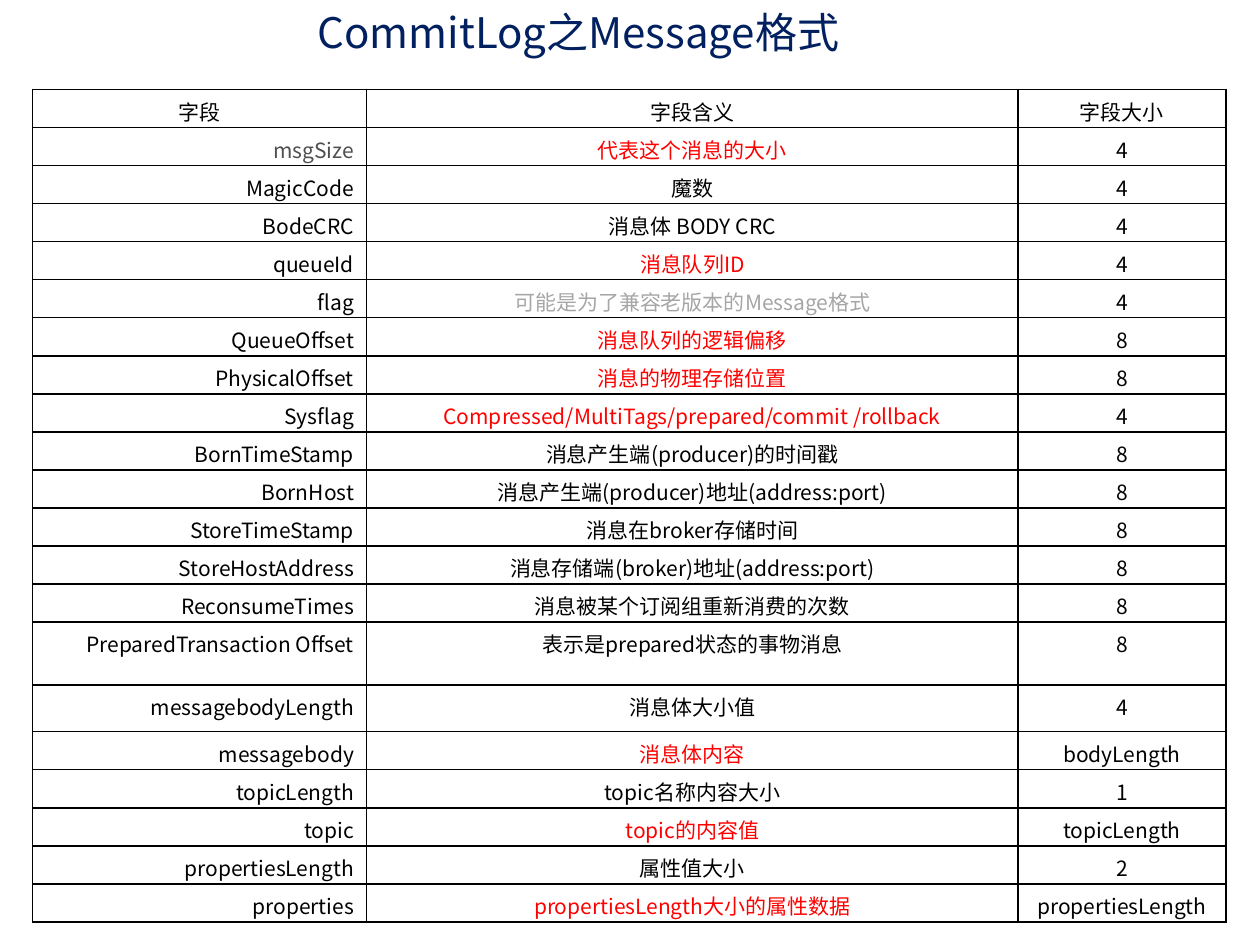
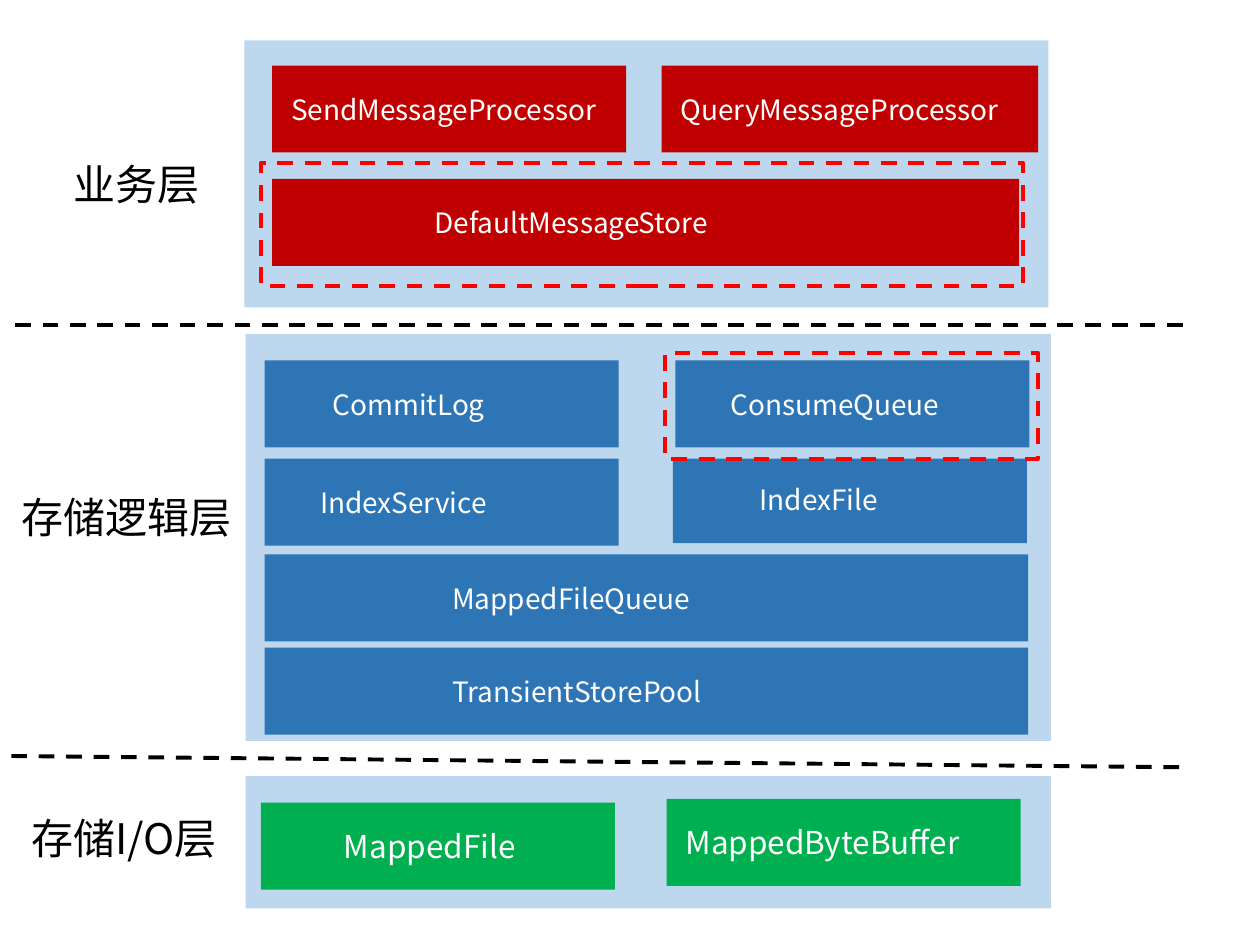
from lxml import etree
from pptx import Presentation
from pptx.dml.color import RGBColor
from pptx.enum.dml import MSO_LINE
from pptx.enum.shapes import MSO_CONNECTOR, MSO_SHAPE
from pptx.enum.text import MSO_ANCHOR, PP_ALIGN
from pptx.oxml.ns import qn
from pptx.util import Inches, Pt

RECT = MSO_SHAPE.RECTANGLE
STRAIGHT = MSO_CONNECTOR.STRAIGHT
DASH = MSO_LINE.DASH
TOP, MIDDLE = MSO_ANCHOR.TOP, MSO_ANCHOR.MIDDLE
LEFT, CENTER, RIGHT = PP_ALIGN.LEFT, PP_ALIGN.CENTER, PP_ALIGN.RIGHT

FONT = "Noto Sans CJK SC"
BLACK, WHITE, RED = "000000", "FFFFFF", "FF0000"
NAVY, DARK, GRAY = "002060", "4F4F4F", "A6A6A6"
PALE, BLUE, GREEN, CRIMSON = "BDD7EE", "2E75B6", "00B050", "C00000"

TITLE_ONLY, BLANK = 5, 6
BOX_W, WIDE_W, BOX_H = 2.81, 6.06, 0.69
ROW_H = 0.3
TALL = {14: 0.5, 15: 0.37}
COLS = (2.65, 5.17, 1.65)

FIELDS = [
    ("字段", "字段含义", "字段大小"),
    ("msgSize", "代表这个消息的大小", "4"),
    ("MagicCode", "魔数", "4"),
    ("BodeCRC", "消息体 BODY CRC", "4"),
    ("queueId", "消息队列ID", "4"),
    ("flag", "可能是为了兼容老版本的Message格式", "4"),
    ("QueueOffset", "消息队列的逻辑偏移", "8"),
    ("PhysicalOffset", "消息的物理存储位置", "8"),
    ("Sysflag", "Compressed/MultiTags/prepared/commit /rollback", "4"),
    ("BornTimeStamp", "消息产生端(producer)的时间戳", "8"),
    ("BornHost", "消息产生端(producer)地址(address:port)", "8"),
    ("StoreTimeStamp", "消息在broker存储时间", "8"),
    ("StoreHostAddress", "消息存储端(broker)地址(address:port)", "8"),
    ("ReconsumeTimes", "消息被某个订阅组重新消费的次数", "8"),
    ("PreparedTransaction Offset", "表示是prepared状态的事物消息", "8"),
    ("messagebodyLength", "消息体大小值", "4"),
    ("messagebody", "消息体内容", "bodyLength"),
    ("topicLength", "topic名称内容大小", "1"),
    ("topic", "topic的内容值", "topicLength"),
    ("propertiesLength", "属性值大小", "2"),
    ("properties", "propertiesLength大小的属性数据", "propertiesLength"),
]
TINTS = {(row, 1): RED for row in (1, 4, 6, 7, 8, 16, 18, 20)}
TINTS.update({(1, 0): DARK, (5, 1): GRAY})

PANELS = [(1.95, 6.16, 6.39, 1.05), (1.95, 2.65, 6.39, 3.23), (1.94, 0.32, 6.38, 2.12)]
FRAMES = [(5.28, 2.8, 2.96, 0.84), (2.07, 1.29, 6.05, 0.98)]
CUTS = [(0.12, 2.58, 9.45, 2.58), (0.09, 6, 9.45, 6.09)]
LABELS = [
    ("业务层", 0.53, 1.21, 1.11, False),
    ("存储逻辑层", 0.12, 3.85, 1.78, False),
    ("存储I/O层", 0.2, 6.4, 1.63, True),
]
LOWER = [
    ("MappedFile", 2.07, 6.37, BOX_W, GREEN, 18, 0.66),
    ("MappedByteBuffer", 5.29, 6.34, BOX_W, GREEN, 18, 0.15),
    ("IndexService", 2.1, 3.64, BOX_W, BLUE, 16, 0.44),
    ("IndexFile", 5.34, 3.62, BOX_W, BLUE, 16, 0.69),
    ("MappedFileQueue", 2.1, 4.4, WIDE_W, BLUE, 16, 1.49),
    ("TransientStorePool", 2.1, 5.14, WIDE_W, BLUE, 16, 1.49),
]
UPPER = [
    ("CommitLog", 2.1, 2.86, BOX_W, BLUE, 16, 0.54),
    ("ConsumeQueue", 5.36, 2.86, BOX_W, BLUE, 16, 0.44),
    ("SendMessageProcessor", 2.16, 0.52, BOX_W, CRIMSON, 16, 0.15),
    ("QueryMessageProcessor", 5.25, 0.52, 2.99, CRIMSON, 16, 0.15),
    ("DefaultMessageStore", 2.16, 1.42, 5.93, CRIMSON, 16, 1.29),
]


def rgb(code):
    """Turn a hex string into a colour."""
    return RGBColor.from_string(code)


def write(frame, text, size, color, align=LEFT):
    """Put one styled paragraph into a text frame."""
    frame.text = text
    para = frame.paragraphs[0]
    para.alignment = align
    font = para.font
    font.name, font.size, font.bold = FONT, Pt(size), False
    font.color.rgb = rgb(color)
    latin = para._p.pPr.find(qn("a:defRPr")).find(qn("a:latin"))
    east = etree.Element(qn("a:ea"), typeface=FONT)
    latin.addnext(east)


def inset(frame, side=0.05, edge=0.05):
    """Set the margins of a text frame."""
    frame.margin_left = frame.margin_right = Inches(side)
    frame.margin_top = frame.margin_bottom = Inches(edge)


def dash(line, color):
    """Give a line the thick dashed style."""
    line.color.rgb = rgb(color)
    line.width = Pt(2.25)
    line.dash_style = DASH


def border(cell):
    """Draw a thin black line on each side of a cell."""
    props = cell._tc.get_or_add_tcPr()
    for spot, side in enumerate(("lnL", "lnR", "lnT", "lnB")):
        line = etree.Element(qn(f"a:{side}"), w=str(Pt(1)))
        fill = etree.SubElement(line, qn("a:solidFill"))
        etree.SubElement(fill, qn("a:srgbClr"), val=BLACK)
        props.insert(spot, line)


def head(slide, text):
    """Place and fill the slide title."""
    title = slide.shapes.title
    title.left, title.top = Inches(2.47), Inches(0)
    title.width, title.height = Inches(5.88), Inches(0.5)
    frame = title.text_frame
    inset(frame)
    frame.vertical_anchor = TOP
    write(frame, text, 24, NAVY)


def grid(slide, rows):
    """Add the table of message fields."""
    heights = [TALL.get(row, ROW_H) for row in range(len(rows))]
    table = slide.shapes.add_table(
        len(rows), len(COLS), Inches(0.26), Inches(0.71),
        Inches(sum(COLS)), Inches(sum(heights))).table
    table.first_row = table.horz_banding = False
    for col, width in zip(table.columns, COLS):
        col.width = Inches(width)
    for row, (height, texts) in enumerate(zip(heights, rows)):
        table.rows[row].height = Inches(height)
        for col, text in enumerate(texts):
            cell = table.cell(row, col)
            cell.fill.background()
            cell.margin_left = cell.margin_right = Inches(0.1)
            cell.margin_top, cell.margin_bottom = Inches(0.05), Inches(0.01)
            align = RIGHT if row and col == 0 else CENTER
            write(cell.text_frame, text, 12, TINTS.get((row, col), BLACK), align)
            border(cell)


def block(slide, left, top, width, height, fill):
    """Add a plain filled rectangle."""
    shape = slide.shapes.add_shape(
        RECT, Inches(left), Inches(top), Inches(width), Inches(height))
    shape.shadow.inherit = False
    shape.fill.solid()
    shape.fill.fore_color.rgb = rgb(fill)
    shape.line.fill.background()
    return shape


def box(slide, text, left, top, width, fill, size, indent):
    """Add a named component box with indented text."""
    frame = block(slide, left, top, width, BOX_H, fill).text_frame
    frame.margin_left = Inches(indent)
    frame.vertical_anchor = MIDDLE
    write(frame, text, size, WHITE)


def label(slide, text, left, top, width, wrap):
    """Add the name of a layer."""
    frame = slide.shapes.add_textbox(
        Inches(left), Inches(top), Inches(width), Inches(0.5)).text_frame
    frame.word_wrap = wrap
    inset(frame)
    write(frame, text, 24, BLACK)


def cut(slide, *ends):
    """Add a dashed line between two layers."""
    line = slide.shapes.add_connector(STRAIGHT, *map(Inches, ends))
    dash(line.line, BLACK)
    etree.SubElement(line._element.spPr, qn("a:effectLst"))


def layers(slide):
    """Draw the three storage layers."""
    for spot in PANELS:
        block(slide, *spot, PALE)
    for item in LOWER:
        box(slide, *item)
    for spot in FRAMES:
        dash(block(slide, *spot, PALE).line, RED)
    for item in UPPER:
        box(slide, *item)
    for ends in CUTS:
        cut(slide, *ends)
    for item in LABELS:
        label(slide, *item)


def main():
    """Build both slides and save them."""
    deck = Presentation()
    deck.slide_width, deck.slide_height = Inches(10), Inches(7.5)
    first = deck.slides.add_slide(deck.slide_layouts[TITLE_ONLY])
    head(first, "CommitLog之Message格式")
    grid(first, FIELDS)
    layers(deck.slides.add_slide(deck.slide_layouts[BLANK]))
    deck.save("out.pptx")


if __name__ == "__main__":
    main()
